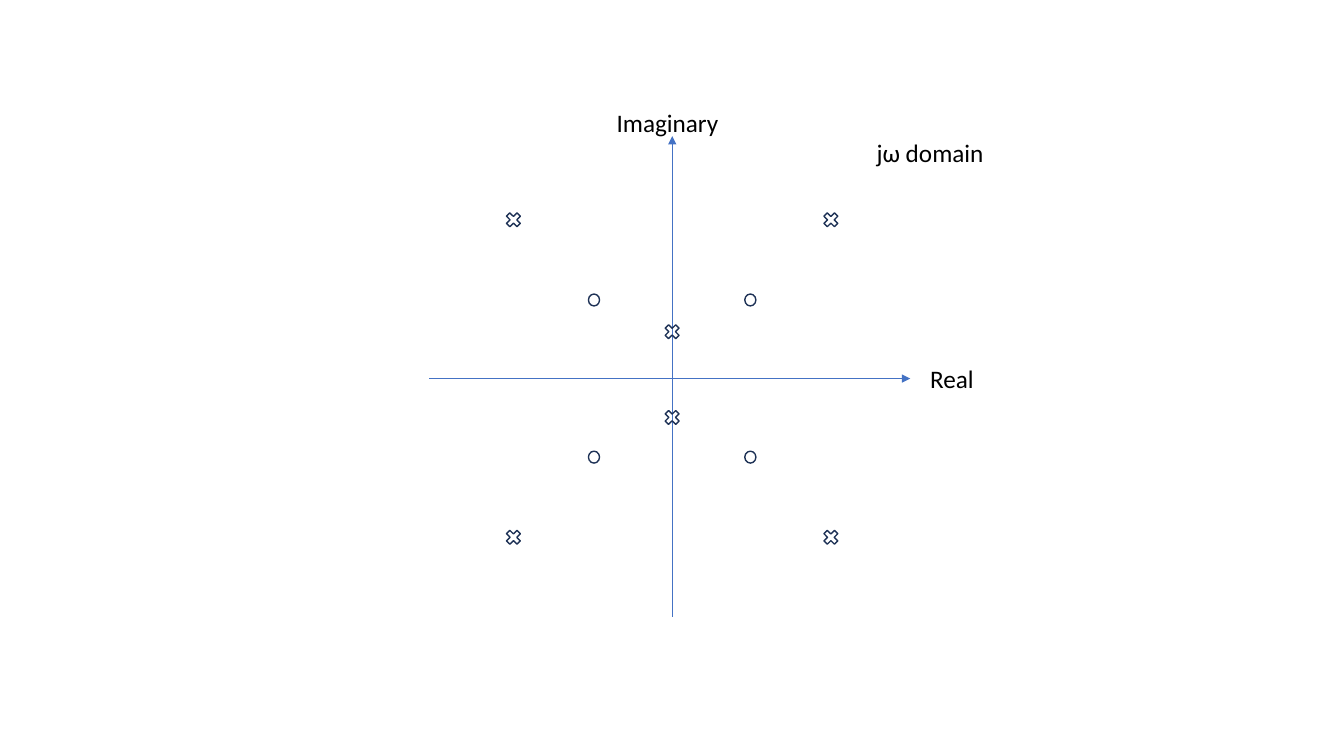
from itertools import product

from lxml import etree
from pptx import Presentation
from pptx.dml.color import RGBColor
from pptx.enum.shapes import MSO_CONNECTOR, MSO_SHAPE
from pptx.enum.text import MSO_AUTO_SIZE
from pptx.oxml.ns import qn
from pptx.util import Cm, Pt

STRAIGHT = MSO_CONNECTOR.STRAIGHT
OVAL = MSO_SHAPE.OVAL
CROSS = MSO_SHAPE.MATH_MULTIPLY
GROW = MSO_AUTO_SIZE.SHAPE_TO_FIT_TEXT


def color(code):
    return RGBColor.from_string(code)


def write(frame, text, font="Calibri", size=18, ink="000000"):
    run = frame.paragraphs[0].add_run()
    run.text = text
    run.font.name = font
    run.font.size = Pt(size)
    run.font.color.rgb = color(ink)


class Plot:
    axis_ink = "4472C4"
    mark_ink = "1E3256"

    def __init__(self, slide, x, y):
        self.shapes = slide.shapes
        self.x, self.y = x, y

    def axis(self, x1, y1, x2, y2):
        line = self.shapes.add_connector(
            STRAIGHT, Cm(x1), Cm(y1), Cm(x2), Cm(y2))
        line.line.color.rgb = color(self.axis_ink)
        line.line.width = Pt(0.5)
        props = line.line._get_or_add_ln()
        etree.SubElement(props, qn("a:tailEnd"), type="triangle")
        etree.SubElement(line._element.spPr, qn("a:effectLst"))

    def mark(self, kind, dx, dy, width, height):
        """Centre a marker at an offset from the origin."""
        mark = self.shapes.add_shape(
            kind, Cm(self.x + dx - width / 2), Cm(self.y + dy - height / 2),
            Cm(width), Cm(height))
        mark.shadow.inherit = False
        mark.fill.background()
        mark.line.color.rgb = color(self.mark_ink)
        mark.line.width = Pt(1)

    def zero(self, dx, dy):
        self.mark(OVAL, dx, dy, 0.28, 0.3)

    def pole(self, dx, dy):
        self.mark(CROSS, dx, dy, 0.51, 0.51)

    def label(self, text, left, top, width):
        box = self.shapes.add_textbox(Cm(left), Cm(top), Cm(width), Cm(1.02))
        box.text_frame.word_wrap = True
        box.text_frame.auto_size = GROW
        write(box.text_frame, text)


def main():
    deck = Presentation()
    deck.slide_width, deck.slide_height = Cm(33.87), Cm(19.05)
    plot = Plot(deck.slides.add_slide(deck.slide_layouts[6]), 16.94, 9.54)

    # Axes
    plot.axis(plot.x, 15.54, plot.x, 3.43)
    plot.axis(10.82, plot.y, 22.94, plot.y)

    # Zeros and poles in the four quadrants
    signs = list(product((-1, 1), repeat=2))
    for sx, sy in signs:
        plot.zero(1.97 * sx, 1.98 * sy)
    for sx, sy in signs:
        plot.pole(4 * sx, 4 * sy)

    # Poles on the imaginary axis
    for dy in (-1.18, 0.98):
        plot.pole(0, dy)

    # Labels
    plot.label("Real", 23.19, 9.02, 2.84)
    plot.label("Imaginary", 15.29, 2.57, 3.28)
    plot.label("jω domain", 21.84, 3.33, 3.28)

    deck.save("out.pptx")


if __name__ == "__main__":
    main()
